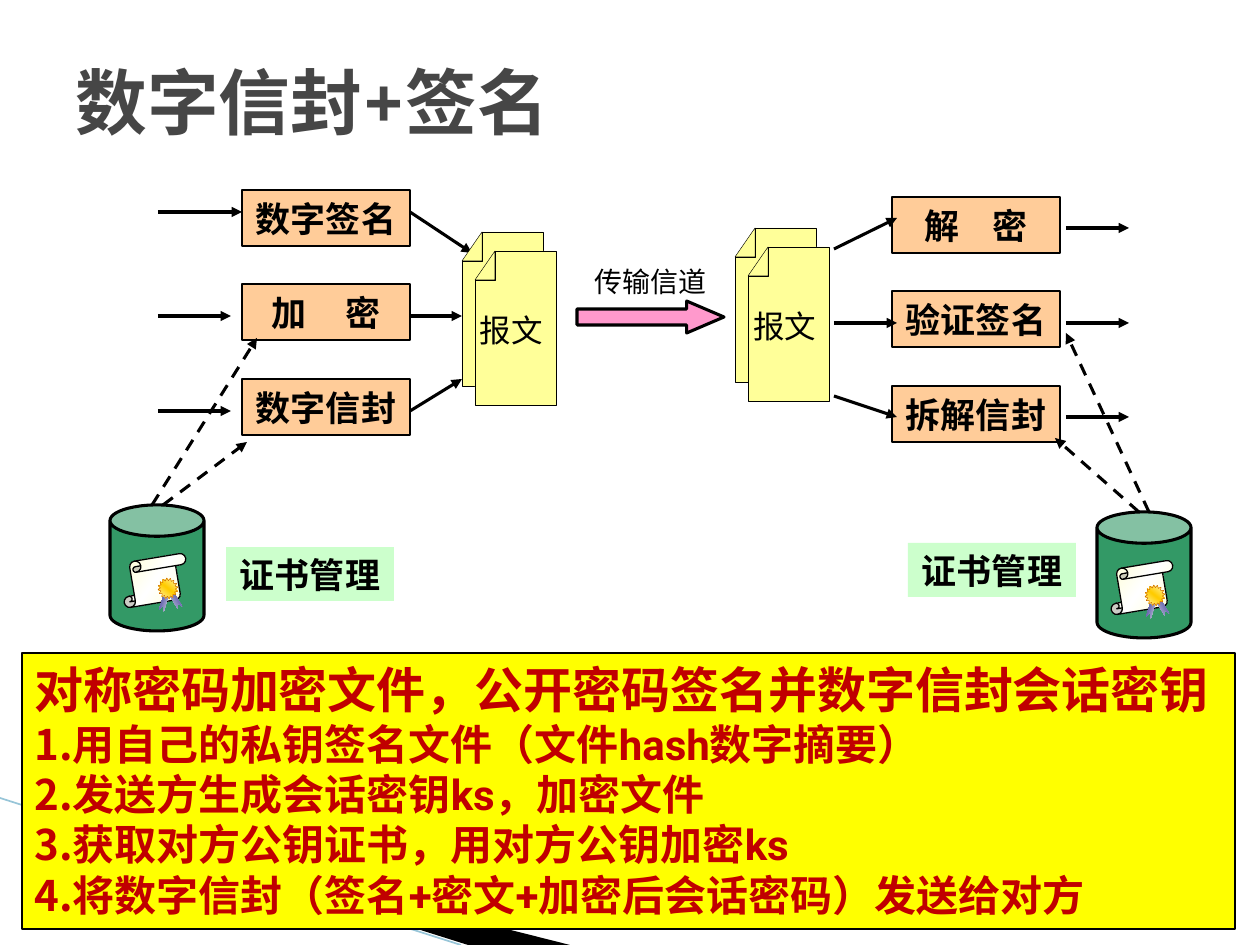
from lxml import etree
from pptx import Presentation
from pptx.dml.color import RGBColor
from pptx.enum import dml, shapes, text
from pptx.oxml.ns import qn
from pptx.util import Pt

PX = 914400 / 126
CJK = "Noto Sans CJK SC"
LATIN = "Roboto"
COLORS = {
    "ink": "000000", "title": "464646", "stage": "FFCC99", "paper": "FFFF99",
    "store": "339966", "label": "CCFFCC", "channel": "FF99CC", "panel": "FFFF00",
    "steps": "C00000", "swoosh": "97C5D8", "cream": "FFFFCC", "white": "FFFFFF",
    "gold": "FFCC00", "bronze": "CC6600", "pale": "D6D6E3", "ribbon": "333399",
}
KIND = shapes.MSO_SHAPE
CENTER = text.PP_ALIGN.CENTER
MIDDLE = text.MSO_ANCHOR.MIDDLE


def px(*lengths):
    """Turn pixel lengths into EMU."""
    return [round(length * PX) for length in lengths]


def rgb(name):
    """Look a colour up by name."""
    return RGBColor.from_string(COLORS[name])


def paint(shape, fill, line=None, width=0.75):
    """Set the fill and outline of a shape and drop its shadow."""
    shape.shadow.inherit = False
    if fill:
        shape.fill.solid()
        shape.fill.fore_color.rgb = rgb(fill)
    if line:
        shape.line.color.rgb = rgb(line)
        shape.line.width = Pt(width)
    else:
        shape.line.fill.background()
    return shape


def add_shape(page, kind, box, fill, line=None, width=0.75, adjust=(), turn=0):
    """Add a painted preset shape."""
    shape = paint(page.shapes.add_shape(kind, *px(*box)), fill, line, width)
    for index, value in enumerate(adjust):
        shape.adjustments[index] = value
    shape.rotation = turn
    return shape


def add_gradient(shape, names, angle):
    """Fill a shape with evenly spaced gradient stops."""
    gradient = etree.Element(qn("a:gradFill"), rotWithShape="1")
    stops = etree.SubElement(gradient, qn("a:gsLst"))
    for index, name in enumerate(names):
        position = str(100000 * index // (len(names) - 1))
        stop = etree.SubElement(stops, qn("a:gs"), pos=position)
        etree.SubElement(stop, qn("a:srgbClr"), val=COLORS[name])
    etree.SubElement(gradient, qn("a:lin"), ang=str(angle * 60000), scaled="1")
    shape.element.spPr.insert(2, gradient)


def add_polygon(page, contours, fill, line=None):
    """Add one freeform made of closed contours."""
    builder = page.shapes.build_freeform(*contours[0][0], scale=PX)
    for index, points in enumerate(contours):
        if index:
            builder.move_to(*points[0])
        builder.add_line_segments(points[1:], close=True)
    return paint(builder.convert_to_shape(), fill, line, 0.25)


def add_line(page, ends, color="ink", width=1.75, arrow=True, dashed=False):
    """Add a straight line, with an arrowhead at its end if asked."""
    line = page.shapes.add_connector(shapes.MSO_CONNECTOR.STRAIGHT, *px(*ends))
    line.line.color.rgb = rgb(color)
    line.line.width = Pt(width)
    if dashed:
        line.line.dash_style = dml.MSO_LINE.DASH
    if arrow:
        etree.SubElement(line.line._get_or_add_ln(), qn("a:tailEnd"), type="triangle")
    etree.SubElement(line._element.spPr, qn("a:effectLst"))


def style(span, size, color="ink", bold=True, latin=LATIN):
    """Format one run."""
    span.font.name = latin
    span.font.size = Pt(size)
    span.font.bold = bold
    span.font.color.rgb = rgb(color)
    etree.SubElement(span._r.get_or_add_rPr(), qn("a:ea"), typeface=CJK)


def write(shape, words, size, align=CENTER, anchor=MIDDLE, wrap=True, inset=None, **look):
    """Put one paragraph of text into a shape."""
    frame = shape.text_frame
    frame.word_wrap = wrap
    frame.vertical_anchor = anchor
    if inset is not None:
        frame.margin_left = frame.margin_right = inset
        frame.margin_top = frame.margin_bottom = inset
    frame.text = words
    para = frame.paragraphs[0]
    para.alignment = align
    for span in para.runs:
        style(span, size, **look)


def add_stage(page, box, words, gap=0):
    """Add a process box, widening the space in its name by a gap in points."""
    shape = add_shape(page, KIND.RECTANGLE, box, "stage", "ink")
    write(shape, words, 20, inset=0)
    if gap:
        para = shape.text_frame.paragraphs[0]
        first, last = words.split()
        para.runs[0].text = first
        for piece in (" ", last):
            span = para.add_run()
            span.text = piece
            style(span, 20)
        para.runs[1]._r.get_or_add_rPr().set("spc", str(gap * 100))


def add_process(page, left, top, inset, stages, arrows):
    """Add a column of three stages with the arrows into and out of it."""
    for row, (words, gap) in enumerate(stages):
        add_stage(page, (left + inset, top + round(94.5 * row), 168, 56), words, gap)
    for x1, y1, x2, y2 in arrows:
        add_line(page, (left + x1, top + y1, left + x2, top + y2))


def add_message(page, left, top):
    """Add two stacked sheets with a folded corner and their caption."""
    for x, y in ((left, top), (left + 13, top + 19)):
        fold = [(x + 20, y), (x + 20, y + 29), (x, y + 29)]
        sheet = [(x + 81, y), (x + 81, y + 154), (x, y + 154), (x, y + 29),
                 (x + 20, y + 29), (x + 20, y)]
        add_polygon(page, [fold, sheet], "paper", "ink")
    caption = page.shapes.add_textbox(*px(left + 18, top + 79, 63, 38))
    write(caption, "报文", 18, text.PP_ALIGN.LEFT, wrap=False, inset=0, bold=False, latin=CJK)


def add_store(page, left, top, label, arrows):
    """Add a certificate store with its label and dashed arrows."""
    add_shape(page, KIND.CAN, (left, top, 94, 126), "store", "ink", 1.75, [0.333])
    scroll = add_shape(page, KIND.VERTICAL_SCROLL, (left + 11, top + 53, 68, 45),
                       None, "ink", 0.75, [0.25], 350.5)
    add_gradient(scroll, ("cream", "white", "cream"), 45)
    for x, y, turn, angle in ((54, 91, 239.1, 90), (44, 93, 286.7, 270)):
        ribbon = add_shape(page, KIND.CHEVRON, (left + x, top + y, 21, 5),
                           None, adjust=[1], turn=turn)
        add_gradient(ribbon, ("pale", "ribbon"), angle)
    seal = add_shape(page, KIND.STAR_16_POINT, (left + 48, top + 73, 20, 21),
                     None, "bronze", 0.25, [0.375], 352.9)
    add_gradient(seal, ("cream", "gold", "cream"), 315)
    x, y = label
    tag = add_shape(page, KIND.RECTANGLE, (left + x, top + y, 168, 54), "label")
    write(tag, "证书管理", 20, inset=0)
    for start, x, y in arrows:
        add_line(page, (left + start, top, left + x, top + y), dashed=True)


def add_channel(page, left, top):
    """Add the captioned transmission arrow."""
    add_shape(page, KIND.RIGHT_ARROW, (left, top + 43, 147, 32), "channel", "ink",
              1.75, [0.5, 1.167])
    caption = page.shapes.add_textbox(*px(left, top, 147, 47))
    write(caption, "传输信道", 16, bold=False, latin=CJK)


def add_steps(page, box, heading, steps):
    """Add the panel with a heading and numbered steps."""
    panel = add_shape(page, KIND.RECTANGLE, box, "panel", "ink")
    write(panel, heading, 28, text.PP_ALIGN.LEFT, text.MSO_ANCHOR.TOP, color="steps")
    for words in steps:
        para = panel.text_frame.add_paragraph()
        para.text = words
        para.alignment = text.PP_ALIGN.LEFT
        style(para.runs[0], 24, "steps")
        etree.SubElement(para._p.get_or_add_pPr(), qn("a:buAutoNum"), type="arabicPeriod")
    for para in panel.text_frame.paragraphs:
        layout = para._p.get_or_add_pPr()
        layout.set("marL", "228600")
        layout.set("indent", "-228600")


def main():
    """Build and save the deck."""
    deck = Presentation()
    deck.slide_width, deck.slide_height = px(1260, 945)
    page = deck.slides.add_slide(deck.slide_layouts[6])
    add_polygon(page, [[(67, 818), (570, 945), (468, 945), (68, 819)]], "ink")
    add_line(page, (0, 798, 461, 945), "swoosh", 0.95, arrow=False)
    title = page.shapes.add_textbox(*px(63, 38, 1134, 126))
    write(title, "数字信封+签名", 41, text.PP_ALIGN.LEFT, color="title", latin="Noto Sans Mono")
    add_process(page, 158, 190, 84, [("数字签名", 0), ("加 密", 18), ("数字信封", 0)],
                [(0, 22, 84, 22), (0, 126, 73, 126), (0, 221, 73, 221),
                 (252, 22, 314, 63), (252, 126, 304, 126), (252, 221, 304, 189)])
    add_message(page, 462, 232)
    add_channel(page, 577, 258)
    add_message(page, 735, 228)
    add_process(page, 834, 197, 58, [("解 密", 14), ("验证签名", 0), ("拆解信封", 0)],
                [(0, 52, 63, 21), (0, 126, 63, 126), (0, 199, 63, 220),
                 (232, 31, 295, 31), (232, 126, 295, 126), (232, 220, 295, 220)])
    add_store(page, 110, 505, (116, 42), [(42, 147, -167), (53, 137, -63)])
    add_store(page, 1097, 512, (-189, 31), [(52, -31, -179), (42, -42, -74)])
    add_steps(page, (22, 653, 1213, 276), "对称密码加密文件，公开密码签名并数字信封会话密钥",
              ["用自己的私钥签名文件（文件hash数字摘要）", "发送方生成会话密钥ks，加密文件",
               "获取对方公钥证书，用对方公钥加密ks", "将数字信封（签名+密文+加密后会话密码）发送给对方"])
    deck.save("out.pptx")


if __name__ == "__main__":
    main()
